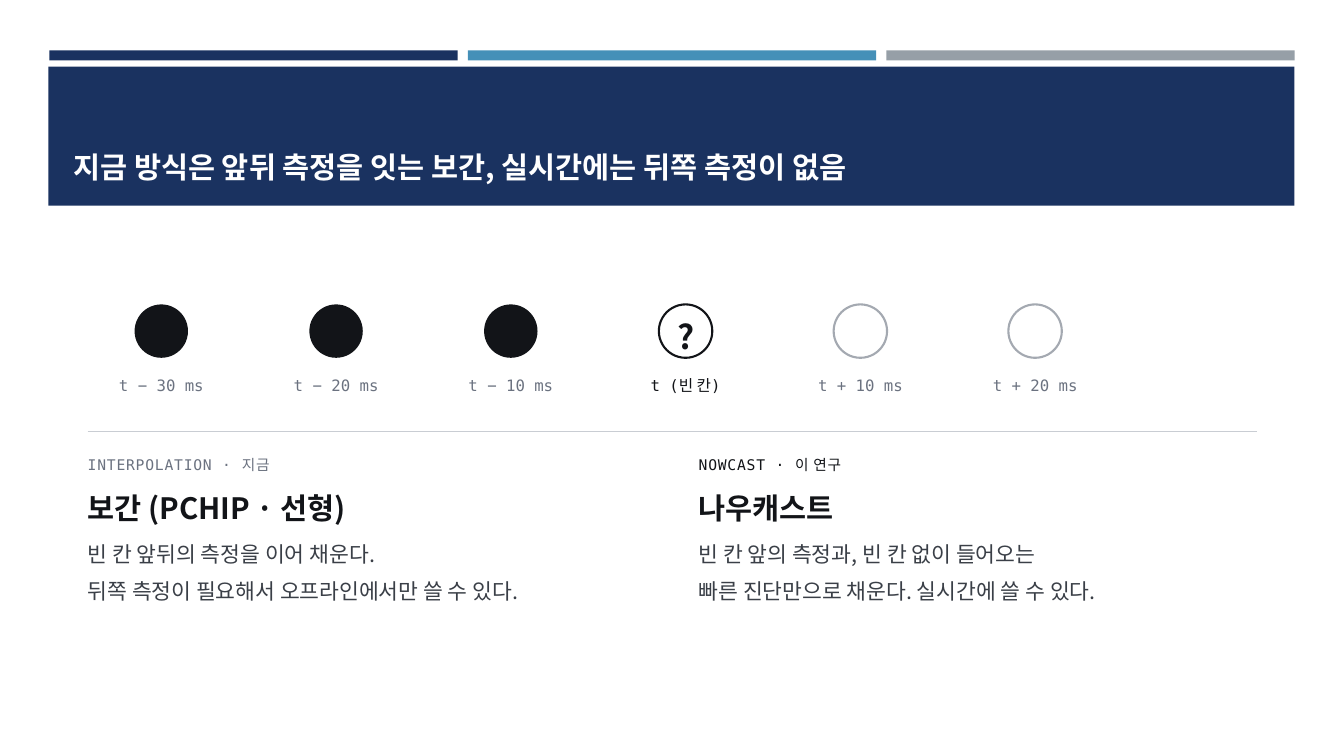
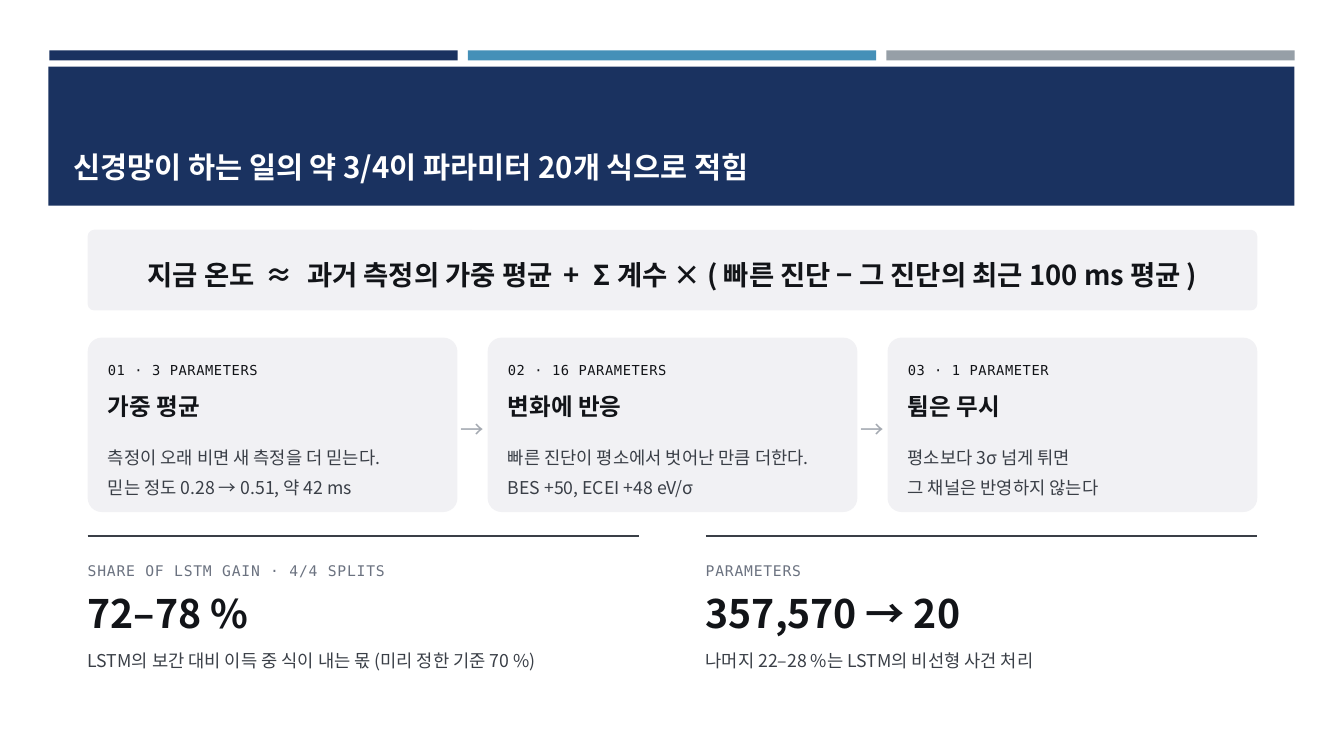
"""Builds two slides that compare interpolation with a nowcast and explain its formula."""
from dataclasses import dataclass, replace
from typing import NamedTuple, Optional

from lxml import etree
from pptx import Presentation
from pptx import util as u
from pptx.dml.color import RGBColor
from pptx.enum import shapes, text
from pptx.oxml import ns

NAVY = RGBColor(0x1A, 0x32, 0x60)
BLUE = RGBColor(0x45, 0x90, 0xB8)
STEEL = RGBColor(0x96, 0x9F, 0xA7)
WHITE = RGBColor(0xFF, 0xFF, 0xFF)
INK = RGBColor(0x12, 0x14, 0x18)
BODY = RGBColor(0x3A, 0x3F, 0x47)
MUTED = RGBColor(0x6B, 0x72, 0x80)
FAINT = RGBColor(0xA4, 0xA9, 0xB1)
RULE = RGBColor(0xC9, 0xCD, 0xD3)
PANEL = RGBColor(0xF1, 0xF1, 0xF4)

SANS = "Noto Sans CJK KR"
MONO = "DejaVu Sans Mono"
LEFT = 0.87
WIDTH = 11.6


class Box(NamedTuple):
    left: float
    top: float
    width: float
    height: float


@dataclass(frozen=True)
class Style:
    size: float
    color: RGBColor = INK
    face: str = SANS
    bold: bool = False
    leading: Optional[float] = 1.25
    tracking: float = 0
    centered: bool = False
    anchor: text.MSO_ANCHOR = text.MSO_ANCHOR.TOP


class Moment(NamedTuple):
    label: str
    fill: RGBColor
    outline: Optional[RGBColor] = None
    mark: str = ""


class Method(NamedTuple):
    kicker: str
    kicker_color: RGBColor
    name: str
    lines: list[str]


class Term(NamedTuple):
    kicker: str
    name: str
    lines: list[str]


class Result(NamedTuple):
    kicker: str
    figure: str
    caption: str


TITLE = Style(21, WHITE, bold=True, leading=None, anchor=text.MSO_ANCHOR.BOTTOM)
MARK = Style(23.8, bold=True, centered=True, anchor=text.MSO_ANCHOR.MIDDLE)
MOMENT_LABEL = Style(11.2, MUTED, MONO, centered=True)
KICKER = Style(10.5, MUTED, MONO, tracking=0.6)
METHOD_NAME = Style(21, bold=True)
METHOD_BODY = Style(15.4, BODY, leading=1.45)
FORMULA = Style(19.6, bold=True, centered=True, anchor=text.MSO_ANCHOR.MIDDLE)
OPERATOR = replace(FORMULA, tracking=3)
TERM_KICKER = Style(9.8, face=MONO, tracking=0.4)
TERM_NAME = Style(16.8, bold=True, leading=1.2)
SMALL_BODY = Style(12.6, BODY, leading=1.4)
ARROW = Style(16.8, FAINT, centered=True, anchor=text.MSO_ANCHOR.MIDDLE)
FIGURE = Style(28, bold=True, leading=None)

MOMENTS = [
    Moment("t − 30 ms", INK),
    Moment("t − 20 ms", INK),
    Moment("t − 10 ms", INK),
    Moment("t (빈 칸)", WHITE, INK, "?"),
    Moment("t + 10 ms", WHITE, FAINT),
    Moment("t + 20 ms", WHITE, FAINT),
]
METHODS = [
    Method("INTERPOLATION · 지금", MUTED, "보간 (PCHIP · 선형)",
           ["빈 칸 앞뒤의 측정을 이어 채운다.",
            "뒤쪽 측정이 필요해서 오프라인에서만 쓸 수 있다."]),
    Method("NOWCAST · 이 연구", INK, "나우캐스트",
           ["빈 칸 앞의 측정과, 빈 칸 없이 들어오는",
            "빠른 진단만으로 채운다. 실시간에 쓸 수 있다."]),
]
FORMULA_RUNS = [
    ("지금 온도", FORMULA),
    (" ≈ ", OPERATOR),
    ("과거 측정의 가중 평균", FORMULA),
    (" + ", OPERATOR),
    ("Σ 계수 × ( 빠른 진단 − 그 진단의 최근 100 ms 평균 )", FORMULA),
]
TERMS = [
    Term("01 · 3 PARAMETERS", "가중 평균",
         ["측정이 오래 비면 새 측정을 더 믿는다.", "믿는 정도 0.28 → 0.51, 약 42 ms"]),
    Term("02 · 16 PARAMETERS", "변화에 반응",
         ["빠른 진단이 평소에서 벗어난 만큼 더한다.", "BES +50, ECEI +48 eV/σ"]),
    Term("03 · 1 PARAMETER", "튐은 무시",
         ["평소보다 3σ 넘게 튀면", "그 채널은 반영하지 않는다"]),
]
RESULTS = [
    Result("SHARE OF LSTM GAIN · 4/4 SPLITS", "72–78 %",
           "LSTM의 보간 대비 이득 중 식이 내는 몫 (미리 정한 기준 70 %)"),
    Result("PARAMETERS", "357,570 → 20", "나머지 22–28 %는 LSTM의 비선형 사건 처리"),
]


def inches(box: Box) -> list[u.Length]:
    """Convert a box to lengths."""
    return [u.Inches(side) for side in box]


def add_run(paragraph, words: str, style: Style) -> None:
    """Append one styled run to a paragraph."""
    run = paragraph.add_run()
    run.text = words
    formats = {"size": u.Pt(style.size), "bold": style.bold, "name": style.face}
    for attribute, value in formats.items():
        setattr(run.font, attribute, value)
    run.font.color.rgb = style.color
    properties = run.font._element
    etree.SubElement(properties, ns.qn("a:ea")).set("typeface", SANS)
    if style.tracking:
        properties.set("spc", str(round(style.tracking * 100)))


def add_text(slide, box: Box, lines: list, style: Style,
             inset: tuple[float, float] = (0, 0)) -> None:
    """Draw a text box; a line is a string or a list of (words, style) runs."""
    frame = slide.shapes.add_textbox(*inches(box)).text_frame
    side, end = (u.Inches(length) for length in inset)
    formats = {"word_wrap": True, "vertical_anchor": style.anchor,
               "margin_left": side, "margin_right": side,
               "margin_top": end, "margin_bottom": end}
    for attribute, value in formats.items():
        setattr(frame, attribute, value)
    for index, line in enumerate(lines):
        paragraph = frame.add_paragraph() if index else frame.paragraphs[0]
        if style.leading:
            paragraph.line_spacing = style.leading
        if style.centered:
            paragraph.alignment = text.PP_ALIGN.CENTER
        for words, run_style in [(line, style)] if isinstance(line, str) else line:
            add_run(paragraph, words, run_style)


def add_block(slide, box: Box, fill: RGBColor,
              kind: shapes.MSO_SHAPE = shapes.MSO_SHAPE.RECTANGLE,
              outline: Optional[RGBColor] = None) -> None:
    """Draw a flat filled shape."""
    block = slide.shapes.add_shape(kind, *inches(box))
    block.shadow.inherit = False
    block.fill.solid()
    block.fill.fore_color.rgb = fill
    if outline is None:
        block.line.fill.background()
    else:
        block.line.color.rgb = outline
        block.line.width = u.Pt(1.5)
    if kind == shapes.MSO_SHAPE.ROUNDED_RECTANGLE:
        block.adjustments[0] = 0.08


def add_rule(slide, left: float, top: float, width: float,
             color: RGBColor, weight: float) -> None:
    """Draw a horizontal rule."""
    rule = slide.shapes.add_connector(
        shapes.MSO_CONNECTOR.STRAIGHT, *inches(Box(left, top, left + width, top)))
    rule.line.color.rgb = color
    rule.line.width = u.Pt(weight)
    etree.SubElement(rule._element.spPr, ns.qn("a:effectLst"))


def add_titled_slide(deck, title: str):
    """Add a slide with the three bars, the title band and the title."""
    slide = deck.slides.add_slide(deck.slide_layouts[6])
    for index, color in enumerate((NAVY, BLUE, STEEL)):
        add_block(slide, Box(0.49 + index * 4.15, 0.5, 4.05, 0.1), color)
    add_block(slide, Box(0.48, 0.66, 12.36, 1.38), NAVY)
    add_text(slide, Box(0.63, 0.8, 12.06, 1.08), [title], TITLE, (0.1, 0.05))
    return slide


def add_moment(slide, moment: Moment, center: float) -> None:
    """Draw one point of the timeline with its label."""
    dot, top = 0.53, 3.02
    add_block(slide, Box(center - dot / 2, top, dot, dot), moment.fill,
              shapes.MSO_SHAPE.OVAL, moment.outline)
    if moment.mark:
        add_text(slide, Box(center - 0.33, top, 0.67, dot), [moment.mark], MARK)
    style = replace(MOMENT_LABEL, color=INK) if moment.mark else MOMENT_LABEL
    add_text(slide, Box(center - 0.8, 3.68, 1.6, 0.33), [moment.label], style)


def add_method(slide, method: Method, left: float) -> None:
    """Draw one column of the method comparison."""
    width = 5.53
    add_text(slide, Box(left, 4.48, width, 0.23), [method.kicker],
             replace(KICKER, color=method.kicker_color))
    add_text(slide, Box(left, 4.78, width, 0.4), [method.name], METHOD_NAME)
    add_text(slide, Box(left, 5.25, width, 1.07), method.lines, METHOD_BODY)


def add_term(slide, term: Term, left: float, width: float) -> None:
    """Draw the card of one formula term."""
    pad = 0.2
    inner_left, inner_width = left + pad, width - 2 * pad
    add_block(slide, Box(left, 3.35, width, 1.73), PANEL,
              shapes.MSO_SHAPE.ROUNDED_RECTANGLE)
    add_text(slide, Box(inner_left, 3.55, inner_width, 0.27), [term.kicker], TERM_KICKER)
    add_text(slide, Box(inner_left, 3.83, inner_width, 0.6), [term.name], TERM_NAME)
    add_text(slide, Box(inner_left, 4.35, inner_width, 0.67), term.lines, SMALL_BODY)


def add_result(slide, result: Result, left: float, width: float) -> None:
    """Draw one key figure under its rule."""
    add_rule(slide, left, 5.32, width, BODY, 1.25)
    add_text(slide, Box(left, 5.53, width, 0.23), [result.kicker], KICKER)
    add_text(slide, Box(left, 5.85, width, 0.5), [result.figure], FIGURE)
    add_text(slide, Box(left, 6.36, width, 0.5), [result.caption], SMALL_BODY)


def build_comparison(deck) -> None:
    """Build the slide that sets interpolation against the nowcast."""
    slide = add_titled_slide(deck, "지금 방식은 앞뒤 측정을 잇는 보간, 실시간에는 뒤쪽 측정이 없음")
    pitch = 5.2 / 3
    for index, moment in enumerate(MOMENTS):
        add_moment(slide, moment, 1.6 + index * pitch)
    add_rule(slide, LEFT, 4.28, WIDTH, RULE, 1)
    for index, method in enumerate(METHODS):
        add_method(slide, method, LEFT + index * 6.06)


def build_formula(deck) -> None:
    """Build the slide that explains the formula and its results."""
    slide = add_titled_slide(deck, "신경망이 하는 일의 약 3/4이 파라미터 20개 식으로 적힘")
    panel = Box(LEFT, 2.28, WIDTH, 0.8)
    add_block(slide, panel, PANEL, shapes.MSO_SHAPE.ROUNDED_RECTANGLE)
    add_text(slide, panel, [FORMULA_RUNS], FORMULA)

    gap = 0.3
    card_width = (WIDTH - gap * (len(TERMS) - 1)) / len(TERMS)
    for index, term in enumerate(TERMS):
        left = LEFT + index * (card_width + gap)
        if index:
            add_text(slide, Box(left - gap, 4.02, gap, 0.4), ["→"], ARROW)
        add_term(slide, term, left, card_width)

    result_width = 5.47
    for index, result in enumerate(RESULTS):
        add_result(slide, result, LEFT + index * (WIDTH - result_width), result_width)


def main() -> None:
    """Build and save the deck."""
    deck = Presentation()
    deck.slide_width, deck.slide_height = u.Inches(13.33), u.Inches(7.5)
    build_comparison(deck)
    build_formula(deck)
    deck.save("out.pptx")


if __name__ == "__main__":
    main()
